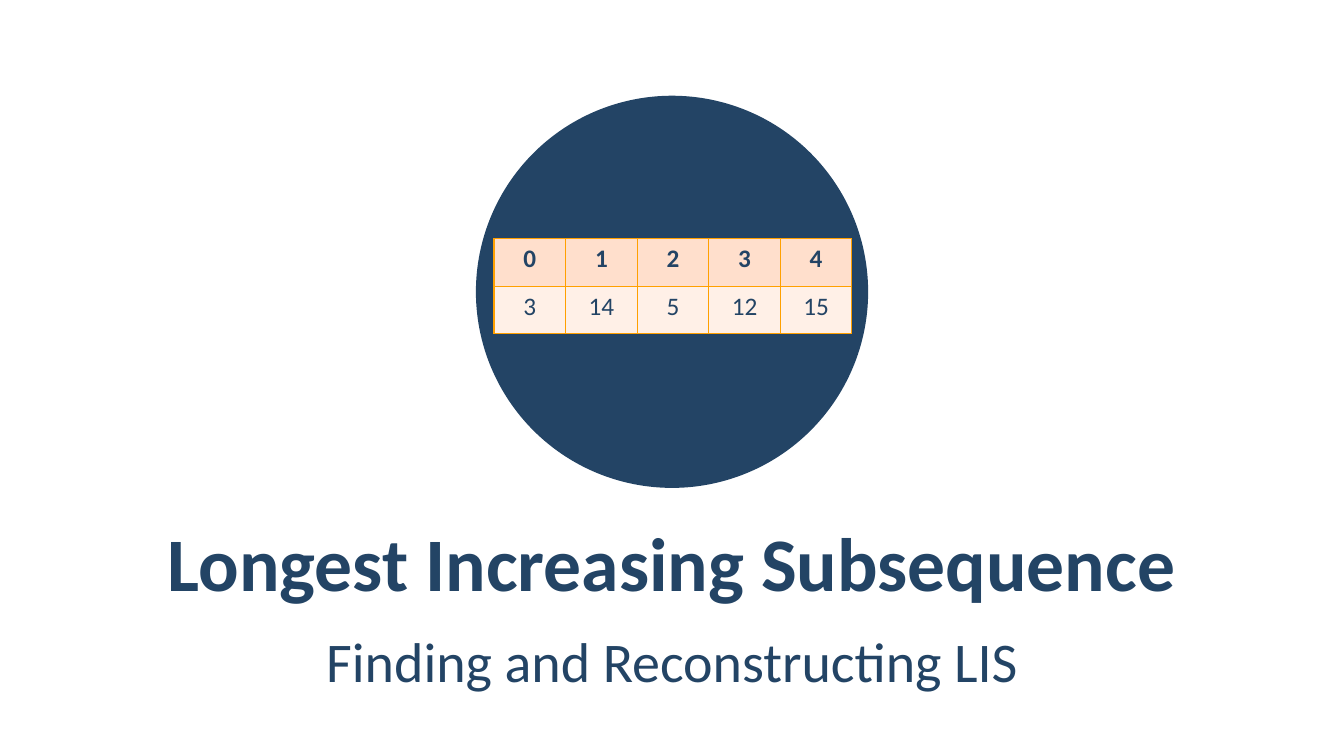
from lxml import etree
from pptx import Presentation
from pptx.dml.color import RGBColor
from pptx.enum.shapes import MSO_SHAPE
from pptx.enum.text import MSO_ANCHOR, PP_ALIGN
from pptx.oxml import parse_xml
from pptx.oxml.ns import nsdecls
from pptx.util import Pt

PX = 9144
NAVY, AMBER, PEACH, CREAM = "234465", "FFA000", "FFDFCC", "FFF0E7"


def px(n):
    return round(n * PX)


def rgb(value):
    return RGBColor.from_string(value)


def place(sp, box):
    sp.left, sp.top, sp.width, sp.height = map(px, box)


def write(tf, text, size, bold=False, spacing=None, gap=None):
    p = tf.paragraphs[0]
    p.alignment = PP_ALIGN.CENTER
    if spacing:
        p.line_spacing = spacing
    if gap:
        p.space_after = Pt(gap)
    r = p.add_run()
    r.text = text
    r.font.name = "Calibri"
    r.font.size = Pt(size)
    r.font.bold = bold
    r.font.color.rgb = rgb(NAVY)


def heading(sp, box, text, size, **fmt):
    place(sp, box)
    tf = sp.text_frame
    tf.word_wrap = True
    tf.vertical_anchor = MSO_ANCHOR.MIDDLE
    tf.margin_left = tf.margin_right = px(12)
    tf.margin_top = tf.margin_bottom = px(4)
    write(tf, text, size, **fmt)


def disc(s, box):
    sp = s.shapes.add_shape(MSO_SHAPE.OVAL, *map(px, box))
    sp.shadow.inherit = False
    sp.fill.solid()
    sp.fill.fore_color.rgb = rgb(NAVY)
    sp.line.fill.background()


def border(cell):
    tc_pr = cell._tc.get_or_add_tcPr()
    for i, side in enumerate(("lnL", "lnR", "lnT", "lnB")):
        ln = parse_xml(f'<a:{side} {nsdecls("a")} w="{Pt(1)}"/>')
        fill = etree.SubElement(ln, ln.tag.replace(side, "solidFill"))
        etree.SubElement(fill, ln.tag.replace(side, "srgbClr"), val=AMBER)
        tc_pr.insert(i, ln)


def array_table(s, box, rows):
    x, y, w, h = box
    table = s.shapes.add_table(len(rows), len(rows[0]), *map(px, box)).table
    for col in table.columns:
        col.width = px(w / len(rows[0]))
    for i, values in enumerate(rows):
        table.rows[i].height = px(h / len(rows))
        for j, value in enumerate(values):
            cell = table.cell(i, j)
            cell.fill.solid()
            cell.fill.fore_color.rgb = rgb(CREAM if i else PEACH)
            border(cell)
            write(cell.text_frame, str(value), 18, bold=i == 0)


def title_slide(prs):
    s = prs.slides.add_slide(prs.slide_layouts[5])
    disc(s, (472, 95, 389, 389))
    heading(s.shapes.add_textbox(0, 0, 0, 0), (67, 611, 1199, 84),
            "Finding and Reconstructing LIS", 40, spacing=1.05, gap=6)
    heading(s.shapes.title, (67, 515, 1199, 84),
            "Longest Increasing Subsequence", 54, bold=True)
    array_table(s, (490, 237, 355, 94), [range(5), (3, 14, 5, 12, 15)])


def main():
    prs = Presentation()
    prs.slide_width, prs.slide_height = px(1333), px(750)
    title_slide(prs)
    prs.save("out.pptx")


if __name__ == "__main__":
    main()
